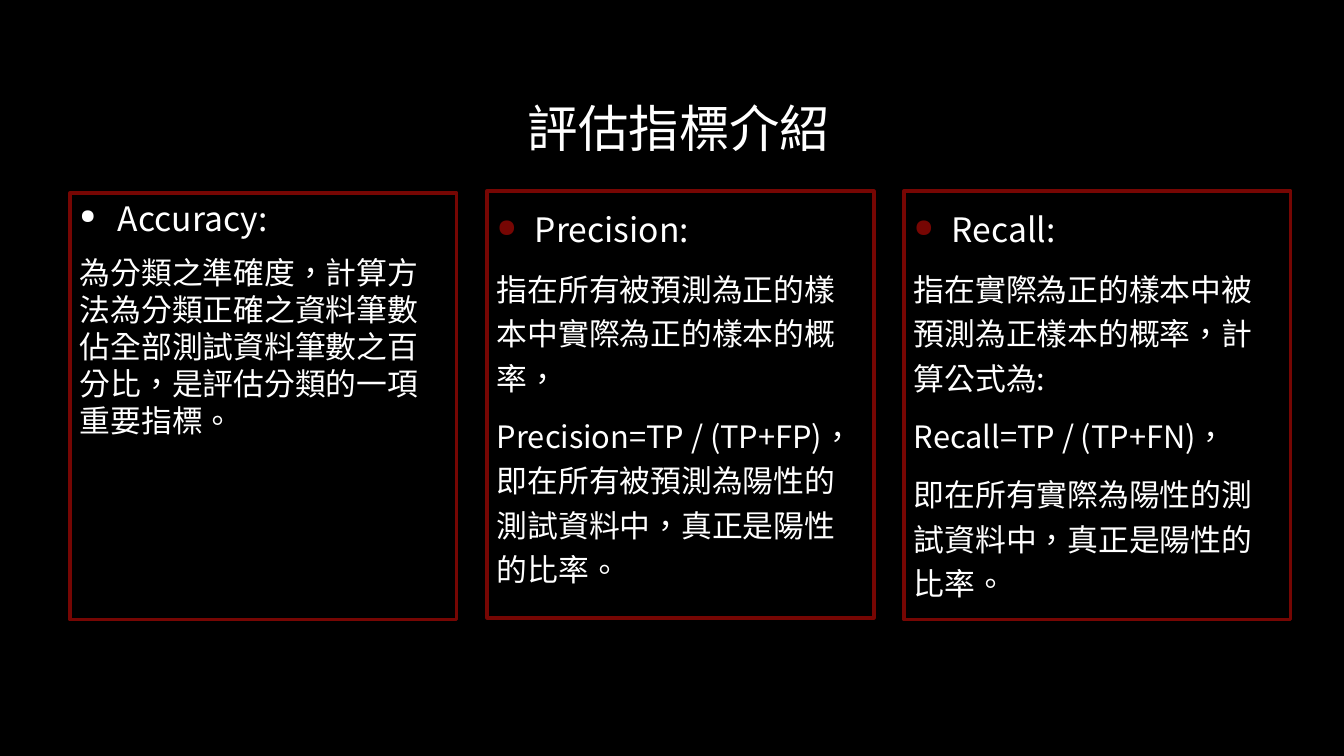
from pptx import Presentation
from pptx.dml.color import RGBColor
from pptx.enum.lang import MSO_LANGUAGE_ID
from pptx.enum.shapes import MSO_SHAPE
from pptx.enum.text import MSO_ANCHOR, PP_ALIGN
from pptx.oxml.ns import qn
from pptx.util import Pt
from lxml.etree import SubElement

BLACK = RGBColor(0x00, 0x00, 0x00)
WHITE = RGBColor(0xFF, 0xFF, 0xFF)
RED = RGBColor(0x76, 0x06, 0x03)
FONT = "Noto Sans CJK SC"

TITLE = "評估指標介紹"
CARDS = [
    dict(lines=["Accuracy:",
                "為分類之準確度，計算方法為分類正確之資料筆數佔全部測試資料筆數之百分比，是評估分類的一項重要指標。"],
         top=193, high=427, inset=5, dot=WHITE, size=60,
         pitch=1.0, before=5, after=6),
    dict(lines=["Precision:",
                "指在所有被預測為正的樣本中實際為正的樣本的概率，",
                "Precision=TP / (TP+FP)，即在所有被預測為陽性的測試資料中，真正是陽性的比率。"],
         top=191, high=427, inset=10, dot=RED, size=75,
         pitch=1.2, before=10, after=0),
    dict(lines=["Recall:",
                "指在實際為正的樣本中被預測為正樣本的概率，計算公式為:",
                "Recall=TP / (TP+FN)，",
                "即在所有實際為陽性的測試資料中，真正是陽性的比率。"],
         top=191, high=429, inset=10, dot=RED, size=75,
         pitch=1.2, before=10, after=0),
]
LEFT, WIDE, STEP = 70, 387, 417
INDENT = 38


def px(n):
    return round(n * 914400 / 100.8)


def style(para, size):
    para.alignment = PP_ALIGN.LEFT
    for run in para.runs:
        run.font.size = Pt(size)
        run.font.name = FONT
        run.font.color.rgb = WHITE
        run.font.language_id = MSO_LANGUAGE_ID.TAIWAN if hasattr(MSO_LANGUAGE_ID, "TAIWAN") else None
        run.font._element.set("lang", "zh-TW")
        SubElement(run.font._element, qn("a:ea"), typeface=FONT)


def bullet(para, color, size):
    props = para._p.get_or_add_pPr()
    props.set("marL", str(px(INDENT)))
    props.set("indent", str(-px(INDENT)))
    tint = SubElement(props, qn("a:buClr"))
    SubElement(tint, qn("a:srgbClr"), val=str(color))
    SubElement(props, qn("a:buSzPct"), val=str(size * 1000))
    SubElement(props, qn("a:buChar"), char="●")


def card(slide, left, data):
    box = slide.shapes.add_shape(MSO_SHAPE.RECTANGLE, px(left), px(data["top"]),
                                 px(WIDE), px(data["high"]))
    box.shadow.inherit = False
    box.fill.background()
    box.line.color.rgb = RED
    box.line.width = Pt(2.25)
    frame = box.text_frame
    frame.text = "\n".join(data["lines"])
    frame.word_wrap = True
    frame.vertical_anchor = MSO_ANCHOR.TOP
    frame.margin_left = frame.margin_right = px(10)
    frame.margin_top = px(data["inset"])
    for row, para in enumerate(frame.paragraphs):
        style(para, 22 if row else 24)
        para.line_spacing = data["pitch"]
        para.space_before = Pt(data["before"])
        para.space_after = Pt(data["after"])
    bullet(frame.paragraphs[0], data["dot"], data["size"])


def main():
    deck = Presentation()
    deck.slide_width, deck.slide_height = px(1344), px(756)
    slide = deck.slides.add_slide(deck.slide_layouts[6])
    slide.background.fill.solid()
    slide.background.fill.fore_color.rgb = BLACK

    title = slide.shapes.add_textbox(px(518), px(85), px(326), px(78)).text_frame
    title.text = TITLE
    title.word_wrap = True
    title.vertical_anchor = MSO_ANCHOR.BOTTOM
    style(title.paragraphs[0], 36)

    for col, data in enumerate(CARDS):
        card(slide, LEFT + col * STEP, data)
    deck.save("out.pptx")


if __name__ == "__main__":
    main()
